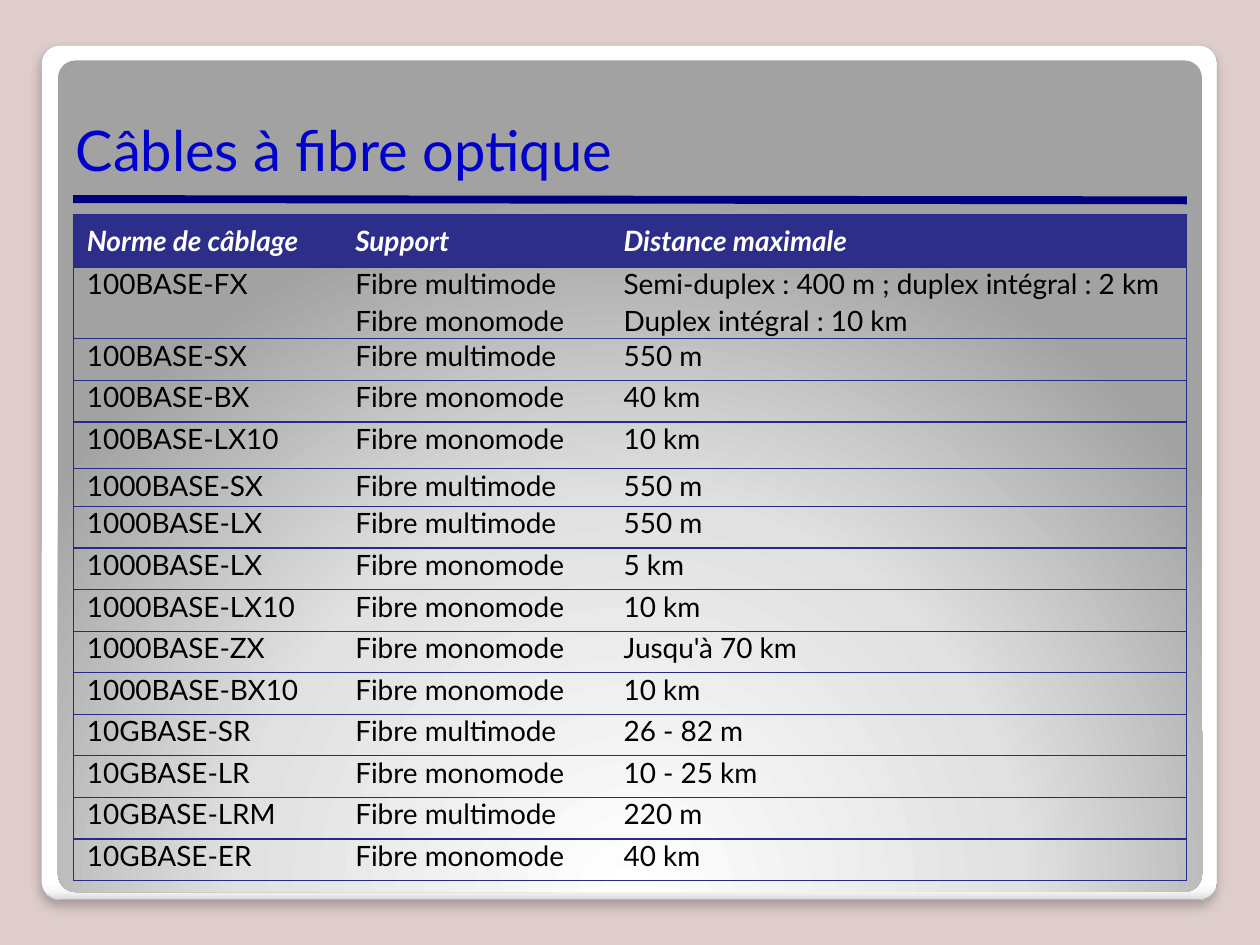
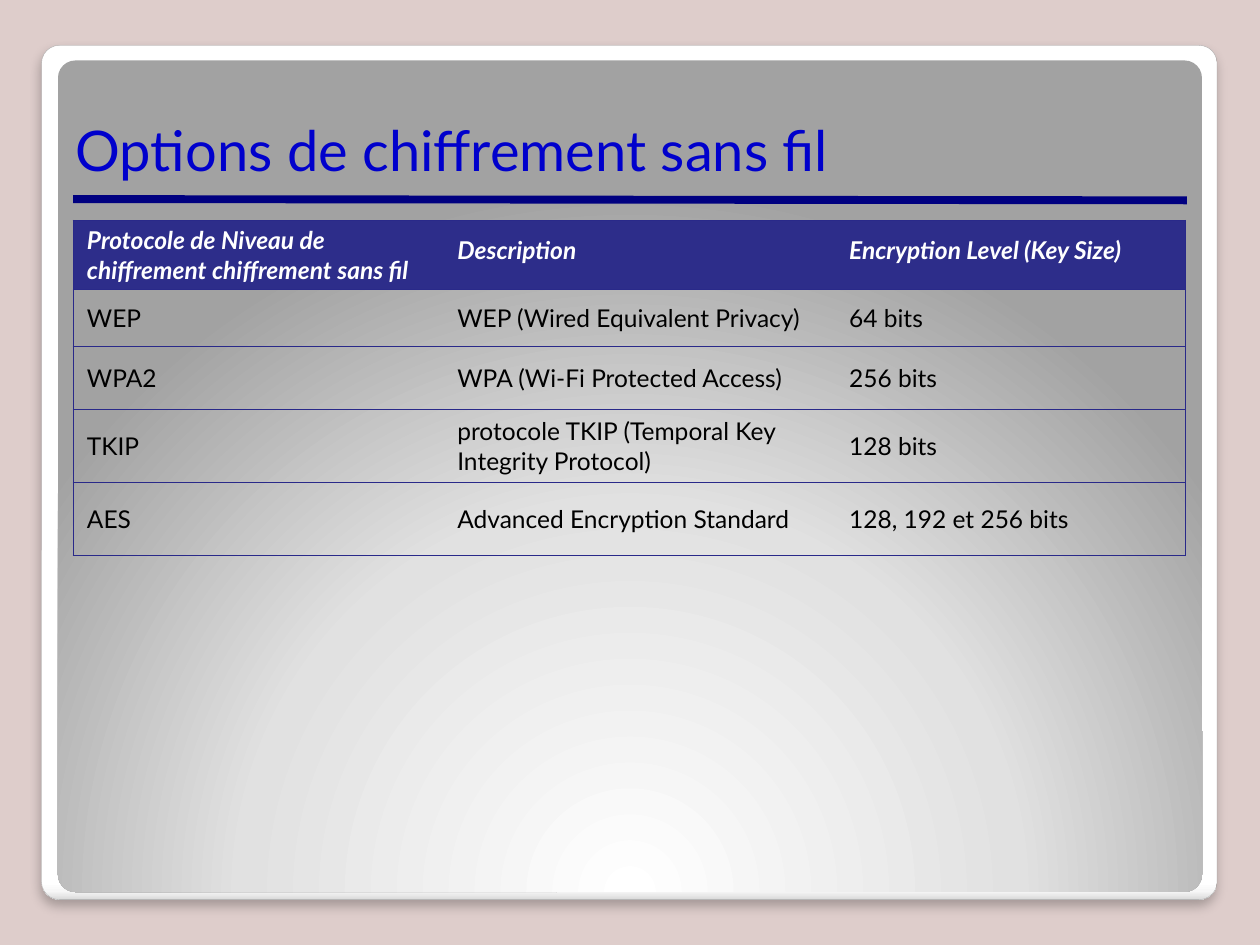
from dataclasses import dataclass

from lxml import etree
from pptx import Presentation
from pptx.dml.color import RGBColor
from pptx.enum.shapes import MSO_CONNECTOR as CONNECTOR, MSO_SHAPE as SHAPE
from pptx.enum.text import MSO_ANCHOR as ANCHOR, PP_ALIGN as ALIGN
from pptx.oxml import parse_xml
from pptx.oxml.ns import nsdecls, qn
from pptx.util import Inches, Pt

TITLE_ONLY = 5


@dataclass(frozen=True)
class Theme:
    font: str = "Lato"
    background: str = "DECDCB"
    frame_stops: tuple = ((0, "FFFFFF"), (98, "FFFFFF"), (99, "F7F7F7"), (100, "DADADA"))
    panel_stops: tuple = ((0, "FFFFFF"), (55, "E1E1E1"), (100, "A2A2A2"))
    frame_line: str = "A4A4A4"
    shadow: str = "000000"
    rule: str = "000080"
    title: str = "0000CC"
    header_fill: str = "2D2D8A"
    header_text: str = "FFFFFF"
    body_text: str = "000000"
    border: str = "292989"
    title_size: int = 32


def rgb(value):
    return RGBColor.from_string(value)


class Deck:
    def __init__(self, theme):
        self.theme = theme
        self.presentation = Presentation()
        self.presentation.slide_width = Inches(10)
        self.presentation.slide_height = Inches(7.5)
        background = self.presentation.slide_master.background.fill
        background.solid()
        background.fore_color.rgb = rgb(theme.background)
        self.layout = self.presentation.slide_layouts[TITLE_ONLY]
        self.slide = None

    def new_slide(self, title):
        first = self.slide is None
        self.slide = self.presentation.slides.add_slide(self.layout)
        if first:
            self.share_frame()
        self.title(title)

    def share_frame(self):
        """Draw the frame, panel and rule, then move them behind the layout's placeholders."""
        theme = self.theme
        frame = self.rounded_box(0.33, 0.36, 9.33, 6.78, theme.frame_stops,
                                 '<a:lin ang="5400000" scaled="0"/>')
        frame.line.color.rgb = rgb(theme.frame_line)
        frame.line.width = Pt(0.16)
        self.add_shadow(frame)
        panel = self.rounded_box(
            0.46, 0.48, 9.08, 6.6, theme.panel_stops,
            '<a:path path="circle"><a:fillToRect l="50000" t="175000" r="50000" b="-75000"/></a:path>')
        panel.line.fill.background()
        rule = self.line(0.58, 1.58, 9.42, 1.59, theme.rule, 4.5)
        tree = self.layout.shapes._spTree
        for position, shape in enumerate((frame, panel, rule), start=2):
            tree.insert(position, shape._element)

    def rounded_box(self, left, top, width, height, stops, direction):
        shape = self.slide.shapes.add_shape(
            SHAPE.ROUNDED_RECTANGLE, Inches(left), Inches(top), Inches(width), Inches(height))
        shape.adjustments[0] = 0.021
        shape.shadow.inherit = False
        shape.fill.background()
        stop_xml = "".join(
            f'<a:gs pos="{position * 1000}"><a:srgbClr val="{color}"/></a:gs>'
            for position, color in stops)
        properties = shape._element.spPr
        properties.replace(properties.find(qn("a:noFill")), parse_xml(
            f'<a:gradFill {nsdecls("a")} rotWithShape="1">'
            f'<a:gsLst>{stop_xml}</a:gsLst>{direction}</a:gradFill>'))
        return shape

    def add_shadow(self, shape):
        effects = shape._element.spPr.find(qn("a:effectLst"))
        effects.append(parse_xml(
            f'<a:outerShdw {nsdecls("a")} blurRad="{Pt(6)}" dist="{Pt(4)}" dir="5400000">'
            f'<a:srgbClr val="{self.theme.shadow}"><a:alpha val="25000"/></a:srgbClr></a:outerShdw>'))

    def line(self, x1, y1, x2, y2, color, width):
        connector = self.slide.shapes.add_connector(
            CONNECTOR.STRAIGHT, Inches(x1), Inches(y1), Inches(x2), Inches(y2))
        connector.line.color.rgb = rgb(color)
        connector.line.width = Pt(width)
        etree.SubElement(connector._element.spPr, qn("a:effectLst"))
        return connector

    def title(self, text):
        title = self.slide.shapes.title
        title.left, title.top = Inches(0.5), Inches(0.5)
        title.width, title.height = Inches(9), Inches(1)
        frame = title.text_frame
        frame.text = text
        frame.vertical_anchor = ANCHOR.BOTTOM
        paragraph = frame.paragraphs[0]
        paragraph.alignment = ALIGN.LEFT
        self.format_font(paragraph, self.theme.title_size, self.theme.title)

    def format_font(self, paragraph, size, color, emphasis=False):
        font = paragraph.font
        font.name, font.size = self.theme.font, Pt(size)
        font.bold = font.italic = emphasis
        font.color.rgb = rgb(color)

    def table(self, top, widths, heights, rows, size, body_anchor):
        shape = self.slide.shapes.add_table(
            len(rows), len(widths), Inches(0.58), Inches(top),
            Inches(sum(widths)), Inches(sum(heights)))
        table = shape.table
        table.horz_banding = False
        for column, width in zip(table.columns, widths):
            column.width = Inches(width)
        for row, height in zip(table.rows, heights):
            row.height = Inches(height)
        last = len(widths) - 1
        for row_index, texts in enumerate(rows):
            for column_index, text in enumerate(texts):
                cell = table.cell(row_index, column_index)
                self.cell_borders(cell, column_index == 0, column_index == last)
                self.fill_cell(cell, text, size, row_index == 0, body_anchor)
        return table

    def cell_borders(self, cell, left, right):
        """Rule the top and bottom, and only the outer sides."""
        properties = cell._tc.get_or_add_tcPr()
        for side, visible in (("L", left), ("R", right), ("T", True), ("B", True)):
            fill = (f'<a:solidFill><a:srgbClr val="{self.theme.border}"/></a:solidFill>'
                    if visible else "<a:noFill/>")
            properties.append(parse_xml(
                f'<a:ln{side} {nsdecls("a")} w="{Pt(0.75)}">{fill}</a:ln{side}>'))

    def fill_cell(self, cell, text, size, is_header, body_anchor):
        theme = self.theme
        cell.margin_left = cell.margin_right = Inches(0.07)
        cell.margin_top = cell.margin_bottom = 0
        cell.vertical_anchor = ANCHOR.MIDDLE if is_header else body_anchor
        if is_header:
            cell.fill.solid()
            cell.fill.fore_color.rgb = rgb(theme.header_fill)
        else:
            cell.fill.background()
        cell.text = text
        paragraphs = cell.text_frame.paragraphs
        for paragraph in paragraphs:
            properties = paragraph._p.get_or_add_pPr()
            properties.set("marL", str(Inches(0.04)))
            properties.set("indent", "0")
            paragraph.space_after = Pt(2 if len(paragraphs) > 1 else 5)
            color = theme.header_text if is_header else theme.body_text
            self.format_font(paragraph, size, color, is_header)


MULTI = "Fibre multimode"
MONO = "Fibre monomode"
FIBRE_ROWS = [
    ("Norme de câblage", "Support", "Distance maximale"),
    ("100BASE-FX", f"{MULTI}\n{MONO}",
     "Semi-duplex : 400 m ; duplex intégral : 2 km\nDuplex intégral : 10 km"),
    ("100BASE-SX", MULTI, "550 m"),
    ("100BASE-BX", MONO, "40 km"),
    ("100BASE-LX10", MONO, "10 km"),
    ("1000BASE-SX", MULTI, "550 m"),
    ("1000BASE-LX", MULTI, "550 m"),
    ("1000BASE-LX", MONO, "5 km"),
    ("1000BASE-LX10", MONO, "10 km"),
    ("1000BASE-ZX", MONO, "Jusqu'à 70 km"),
    ("1000BASE-BX10", MONO, "10 km"),
    ("10GBASE-SR", MULTI, "26 - 82 m"),
    ("10GBASE-LR", MONO, "10 - 25 km"),
    ("10GBASE-LRM", MULTI, "220 m"),
    ("10GBASE-ER", MONO, "40 km"),
]
ENCRYPTION_ROWS = [
    ("Protocole de Niveau de chiffrement chiffrement sans fil", "Description",
     "Encryption Level (Key Size)"),
    ("WEP", "WEP (Wired Equivalent Privacy)", "64 bits"),
    ("WPA2", "WPA (Wi-Fi Protected Access)", "256 bits"),
    ("TKIP", "protocole TKIP (Temporal Key Integrity Protocol)", "128 bits"),
    ("AES", "Advanced Encryption Standard", "128, 192 et 256 bits"),
]


def main():
    deck = Deck(Theme())

    deck.new_slide("Câbles à fibre optique")
    fibre_heights = [0.42, 0.57, 0.33, 0.33, 0.37, 0.3] + [0.33] * 9
    deck.table(1.7, [2.13, 2.13, 4.58], fibre_heights, FIBRE_ROWS, 16, ANCHOR.TOP)

    deck.new_slide("Options de chiffrement sans fil")
    encryption = deck.table(1.75, [2.94, 3.11, 2.78], [0.55, 0.45, 0.5, 0.58, 0.58],
                            ENCRYPTION_ROWS, 14, ANCHOR.MIDDLE)
    for column in (1, 2):
        encryption.cell(0, column).text_frame.paragraphs[0].line_spacing = Pt(11)

    deck.presentation.save("out.pptx")


if __name__ == "__main__":
    main()
